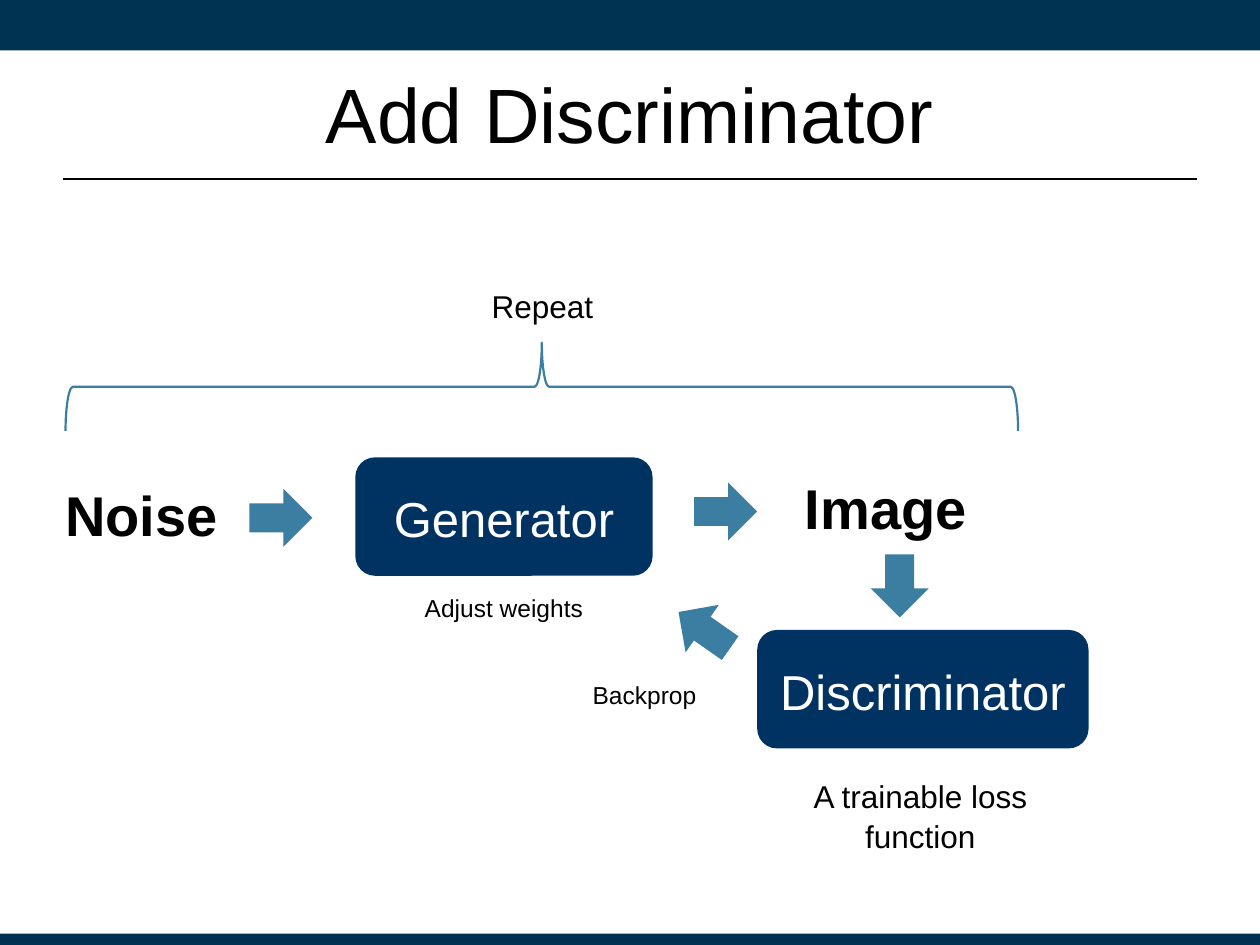
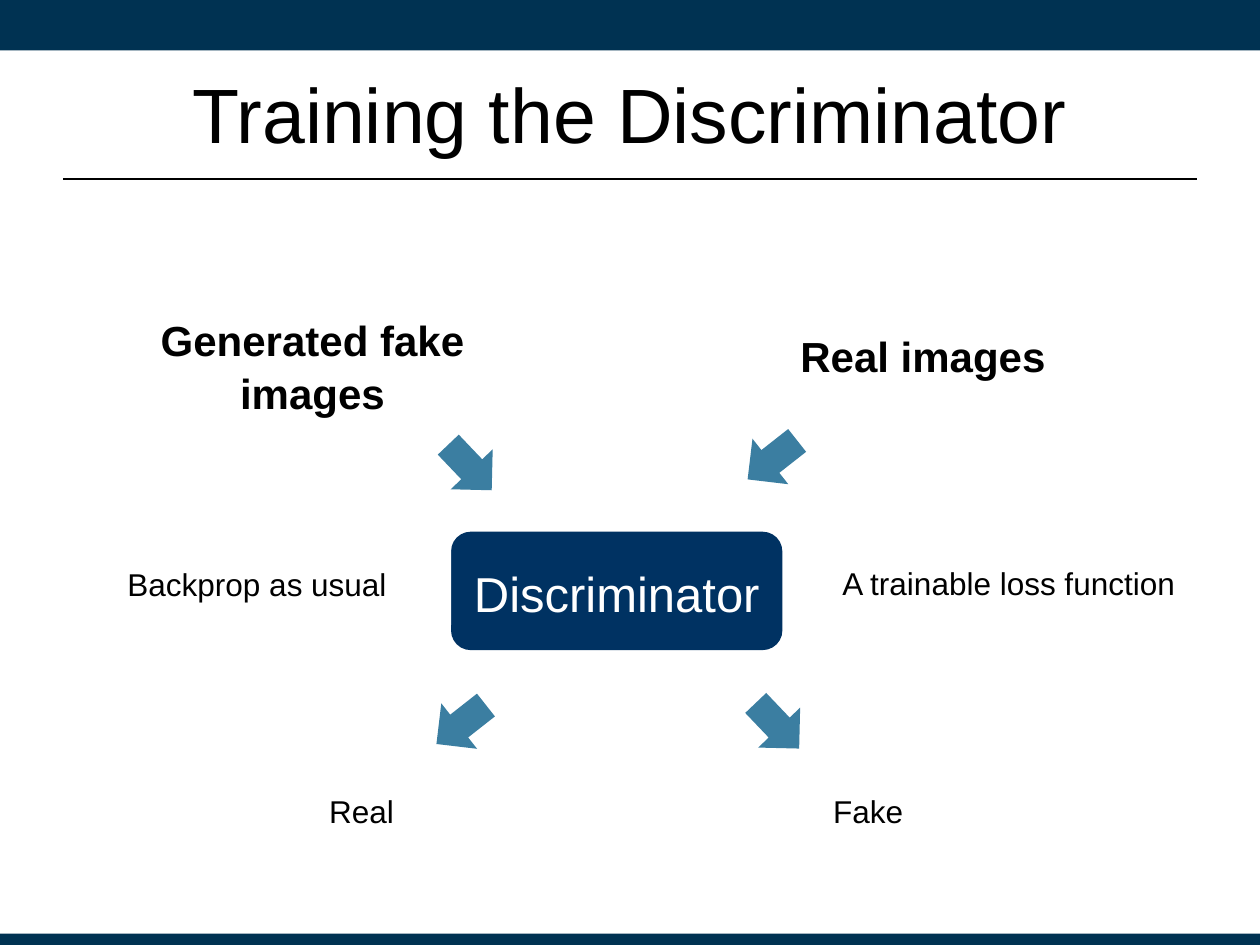
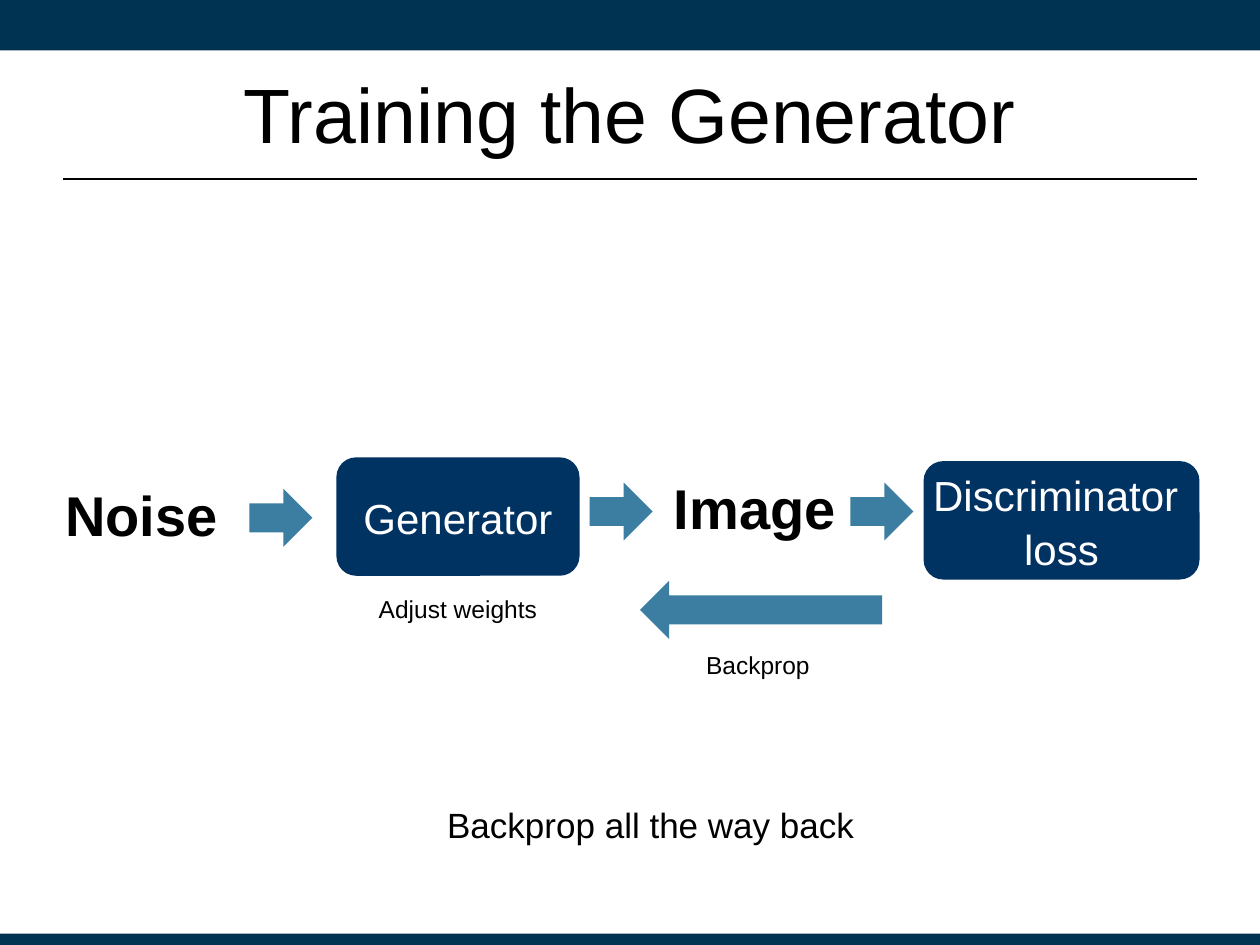
import pptx
import pptx.dml.color
import pptx.enum.shapes
import pptx.enum.text
import pptx.oxml.xmlchemy
import pptx.util
from pptx.util import Inches

SHAPE = pptx.enum.shapes.MSO_SHAPE
ALIGN = pptx.enum.text.PP_ALIGN
ANCHOR = pptx.enum.text.MSO_ANCHOR


def rgb(value):
    return pptx.dml.color.RGBColor.from_string(value)


class Deck:
    """Holds the shared style and the slide being filled."""

    FONT = "Arial"
    BAND, BOX, ARROW = "003252", "003262", "3B7EA1"
    BLACK, WHITE = "000000", "FFFFFF"
    TITLE_ONLY = 5

    def __init__(self):
        self.prs = pptx.Presentation()
        self.prs.slide_width = Inches(10)
        self.prs.slide_height = Inches(7.5)
        self.s = None

    def slide(self, title):
        first = self.s is None
        self.s = self.prs.slides.add_slide(self.prs.slide_layouts[self.TITLE_ONLY])
        if first:
            self.decorate_master()
        sp = self.s.shapes.title
        sp.left, sp.top, sp.width, sp.height = map(Inches, (0.5, 0.25, 9, 1.25))
        self.set_text(sp, title, 44)

    def decorate_master(self):
        """Draw the bands and the title rule, then move them to the master."""
        rule = self.s.shapes.add_connector(
            pptx.enum.shapes.MSO_CONNECTOR.STRAIGHT,
            Inches(0.5), Inches(1.42), Inches(9.5), Inches(1.42))
        rule.line.color.rgb = rgb(self.BLACK)
        rule.line.width = pptx.util.Pt(1.25)
        rule.element.spPr.append(pptx.oxml.xmlchemy.OxmlElement("a:effectLst"))
        bands = [self.shape(SHAPE.RECTANGLE, 0, top, 10, height, self.BAND)
                 for top, height in ((0, 0.4), (7.41, 0.09))]
        tree = self.prs.slide_master.element.cSld.spTree
        for sp in (rule, *bands):
            tree.insert(2, sp.element)

    def set_text(self, sp, text, size, color=BLACK, bold=False,
                 align=ALIGN.CENTER, anchor=ANCHOR.MIDDLE, wrap=True):
        """Fill a shape with text, one paragraph a line."""
        tf = sp.text_frame
        tf.word_wrap = wrap
        tf.vertical_anchor = anchor
        for i, line in enumerate(text.split("\n")):
            p = tf.add_paragraph() if i else tf.paragraphs[0]
            p.alignment = align
            p.line_spacing = 1.06
            r = p.add_run()
            r.text = line
            r.font.name = self.FONT
            r.font.size = pptx.util.Pt(size)
            r.font.bold = bold
            r.font.color.rgb = rgb(color)

    def shape(self, kind, left, top, width, height, fill=None, rotation=0):
        sp = self.s.shapes.add_shape(kind, *map(Inches, (left, top, width, height)))
        sp.shadow.inherit = False
        sp.rotation = rotation
        sp.line.fill.background()
        if fill:
            sp.fill.solid()
            sp.fill.fore_color.rgb = rgb(fill)
        else:
            sp.fill.background()
        return sp

    def arrow(self, left, top, rotation=0, width=0.5):
        self.shape(SHAPE.RIGHT_ARROW, left, top, width, 0.46, self.ARROW, rotation)

    def brace(self, left, top, width, height):
        """Brace that opens downwards over the given area."""
        sp = self.shape(SHAPE.LEFT_BRACE, left + (width - height) / 2,
                        top + (height - width) / 2, height, width, rotation=90)
        sp.line.color.rgb = rgb(self.ARROW)
        sp.line.width = pptx.util.Pt(1.25)

    def box(self, text, left, top, width, size=28):
        sp = self.shape(SHAPE.ROUNDED_RECTANGLE, left, top, width, 0.94, self.BOX)
        self.set_text(sp, text, size, self.WHITE, wrap=False)

    def caption(self, text, left, top, width, height, size=18, fill=WHITE):
        sp = self.shape(SHAPE.RECTANGLE, left, top, width, height, fill)
        self.set_text(sp, text, size)

    def label(self, text, left, top, width, height=0.75, size=32, align=ALIGN.LEFT):
        """Bold text that names what goes in or comes out."""
        sp = self.s.shapes.add_textbox(*map(Inches, (left, top, width, height)))
        self.set_text(sp, text, size, bold=True, align=align, anchor=ANCHOR.TOP)

    def noise_input(self):
        self.arrow(1.98, 3.88)
        self.label("Noise", 0.42, 3.73, 1.57)


def add_discriminator(d):
    d.slide("Add Discriminator")
    d.caption("A trainable loss function", 5.97, 6.18, 2.67, 0.57)
    d.box("Discriminator", 6.01, 5, 2.63)
    d.arrow(6.89, 4.42, 90)
    d.arrow(5.34, 4.77, 215)
    d.caption("Backprop", 4.27, 5.27, 1.69, 0.47, 14)
    d.caption("Repeat", 3.59, 2.19, 1.43, 0.45)
    d.brace(0.52, 2.72, 7.56, 0.7)
    d.box("Generator", 2.82, 3.63, 2.36)
    d.noise_input()
    d.arrow(5.51, 3.83)
    d.label("Image", 6.29, 3.68, 1.64)
    d.caption("Adjust weights", 2.82, 4.58, 2.36, 0.47, 14)


def train_discriminator(d):
    down_right, down_left = 46.4, 141.8
    d.slide("Training the Discriminator")
    d.arrow(3.48, 3.48, down_right)
    d.label("Generated fake images", 0.71, 2.42, 3.54, 1.17, 24, ALIGN.CENTER)
    d.caption("A trainable loss function", 6.51, 4.28, 2.99, 0.67)
    d.box("Discriminator", 3.58, 4.22, 2.63)
    d.arrow(5.88, 3.42, down_left)
    d.label("Real images", 5.83, 2.55, 2.99, 0.67, 24, ALIGN.CENTER)
    d.caption("Backprop as usual", 0.5, 4.29, 3.08, 0.67)
    d.arrow(5.92, 5.53, down_right)
    d.arrow(3.41, 5.52, down_left)
    for verdict, left in (("Real", 2.15), ("Fake", 6.17)):
        d.caption(verdict, left, 6.09, 1.44, 0.67)


def train_generator(d):
    d.slide("Training the Generator")
    d.box("Generator", 2.67, 3.63, 1.93, 24)
    d.noise_input()
    d.arrow(4.68, 3.83)
    d.label("Image", 5.25, 3.68, 1.64)
    d.arrow(5.08, 4.61, 180, width=1.92)
    d.caption("Backprop", 5.17, 5.03, 1.69, 0.47, 14, fill=None)
    d.caption("Backprop all the way back", 3.07, 6.3, 4.19, 0.47, 20)
    d.box("Discriminator \nloss", 7.33, 3.66, 2.19, 24)
    d.arrow(6.75, 3.83)
    d.caption("Adjust weights", 2.67, 4.58, 1.93, 0.49, 14)


def main():
    d = Deck()
    add_discriminator(d)
    train_discriminator(d)
    train_generator(d)
    d.prs.save("out.pptx")


if __name__ == "__main__":
    main()
